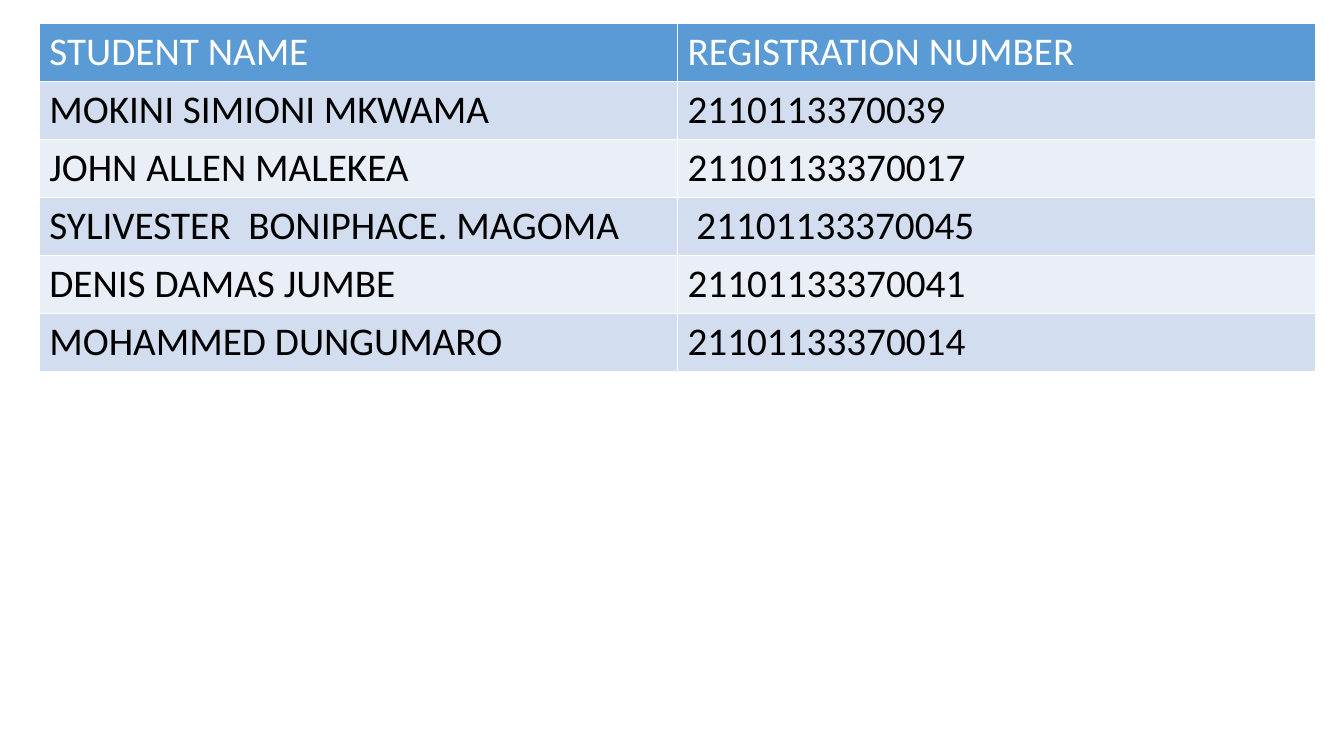
from dataclasses import dataclass

import pptx
import pptx.dml.color
import pptx.util
from pptx.util import Inches


@dataclass(frozen=True)
class Theme:
    font: str = "Calibri"
    size: int = 28
    header_fill: str = "5B9BD5"
    header_text: str = "FFFFFF"
    body_text: str = "000000"
    bands: tuple[str, str] = ("D2DEEF", "EAEFF7")


@dataclass(frozen=True)
class Student:
    name: str
    registration: str


THEME = Theme()
HEADINGS = ("STUDENT NAME", "REGISTRATION NUMBER")
STUDENTS = (
    Student("MOKINI SIMIONI MKWAMA", "2110113370039"),
    Student("JOHN ALLEN MALEKEA", "21101133370017"),
    Student("SYLIVESTER  BONIPHACE. MAGOMA", " 21101133370045"),
    Student("DENIS DAMAS JUMBE", "21101133370041"),
    Student("MOHAMMED DUNGUMARO", "21101133370014"),
)
ROW_HEIGHT = 0.57


def rgb(value: str) -> pptx.dml.color.RGBColor:
    return pptx.dml.color.RGBColor.from_string(value)


def fill_row(row, texts: tuple[str, ...], fill: str, color: str) -> None:
    row.height = Inches(ROW_HEIGHT)
    for cell, text in zip(row.cells, texts):
        cell.fill.solid()
        cell.fill.fore_color.rgb = rgb(fill)
        cell.text = text
        font = cell.text_frame.paragraphs[0].font
        font.name = THEME.font
        font.size = pptx.util.Pt(THEME.size)
        font.bold = False
        font.color.rgb = rgb(color)


def add_student_table(s) -> None:
    rows = len(STUDENTS) + 1
    table = s.shapes.add_table(
        rows, len(HEADINGS), Inches(0.39), Inches(0.23),
        Inches(12.66), Inches(rows * ROW_HEIGHT),
    ).table
    header, *body = table.rows
    fill_row(header, HEADINGS, THEME.header_fill, THEME.header_text)
    for i, (row, student) in enumerate(zip(body, STUDENTS)):
        texts = (student.name, student.registration)
        fill_row(row, texts, THEME.bands[i % 2], THEME.body_text)


def main() -> None:
    prs = pptx.Presentation()
    prs.slide_width, prs.slide_height = Inches(13.33), Inches(7.5)
    s = prs.slides.add_slide(prs.slide_layouts.get_by_name("Blank"))
    add_student_table(s)
    prs.save("out.pptx")


if __name__ == "__main__":
    main()
